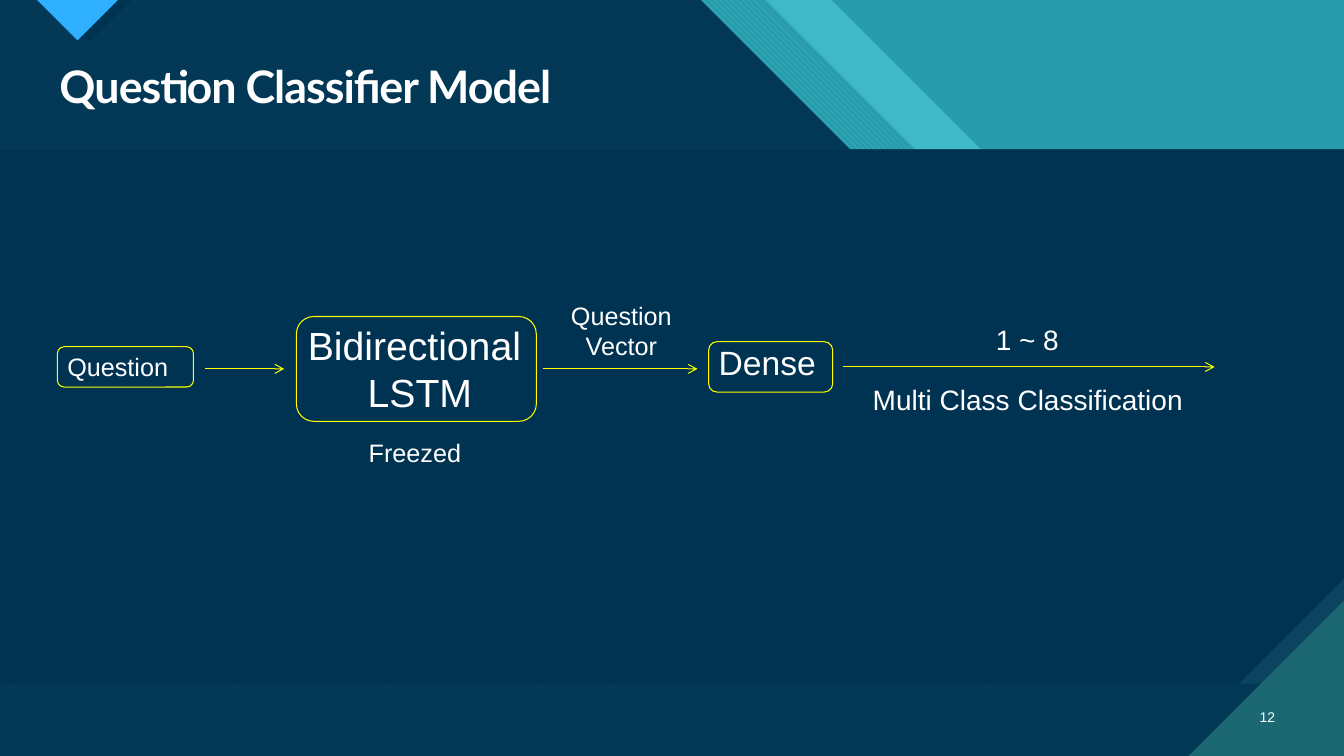
import pptx
import pptx.util
import pptx.dml.color
import pptx.enum.dml
import pptx.enum.shapes
import pptx.enum.text
import pptx.oxml.ns
import lxml.etree

Pt = pptx.util.Pt
qn = pptx.oxml.ns.qn
SHAPE = pptx.enum.shapes.MSO_SHAPE
ALIGN = pptx.enum.text.PP_ALIGN
ANCHOR = pptx.enum.text.MSO_ANCHOR
FIT = pptx.enum.text.MSO_AUTO_SIZE
PATTERN = pptx.enum.dml.MSO_PATTERN

WIDTH, HEIGHT = 960, 540
COLORS = {
    "teal": "299CAB",
    "aqua": "47C3D3",
    "deep": "1B6872",
    "navy": "003352",
    "steel": "0C4360",
    "sky": "2FAFFF",
    "outline": "FFFF00",
    "text": "FFFFFF",
}


def rgb(name):
    return pptx.dml.color.RGBColor.from_string(COLORS[name])


def apply_formats(target, formats):
    for attribute, value in formats.items():
        setattr(target, attribute, value)


class Deck:
    """Holds the text style and the slide being drawn."""

    def __init__(self, slide):
        self.slide = slide
        self.font = {"name": "Arial", "bold": False}
        self.line_width = Pt(0.75)

    def paint(self, shape, color, alpha=None, pattern=None, back=None):
        """Fill without outline or shadow; alpha is a percentage."""
        shape.shadow.inherit = False
        shape.line.fill.background()
        if pattern:
            shape.fill.patterned()
            shape.fill.pattern = pattern
            shape.fill.fore_color.rgb = rgb(color)
            shape.fill.back_color.rgb = rgb(back)
            return
        shape.fill.solid()
        shape.fill.fore_color.rgb = rgb(color)
        if alpha:
            fill_color = next(shape.element.iter(qn("a:srgbClr")))
            lxml.etree.SubElement(fill_color, qn("a:alpha")).set("val", str(alpha * 1000))

    def polygon(self, points, color, **fill):
        corners = [(Pt(x), Pt(y)) for x, y in points]
        builder = self.slide.shapes.build_freeform(*corners[0], scale=1.0)
        builder.add_line_segments(corners[1:], close=True)
        self.paint(builder.convert_to_shape(), color, **fill)

    def layer(self, edge, knee, color, **fill):
        """Full-slide layer whose right side steps down in two 45-degree slopes."""
        shelf = 213.8
        self.polygon([(0, 0), (edge, 0), (edge + shelf, shelf), (knee, shelf),
                      (WIDTH, shelf + WIDTH - knee), (WIDTH, HEIGHT), (0, HEIGHT)],
                     color, **fill)

    def panel(self, snip, color):
        """Content panel with its lower right corner cut off."""
        shape = self.slide.shapes.add_shape(
            SHAPE.SNIP_1_RECTANGLE, 0, Pt(106.8), Pt(WIDTH), Pt(381.6))
        shape.adjustments[0] = snip
        next(shape.element.iter(qn("a:xfrm"))).set("flipV", "1")
        self.paint(shape, color)

    def box(self, left, top, width, height):
        shape = self.slide.shapes.add_shape(
            SHAPE.ROUNDED_RECTANGLE, Pt(left), Pt(top), Pt(width), Pt(height))
        shape.shadow.inherit = False
        shape.fill.background()
        shape.line.color.rgb = rgb("outline")
        shape.line.width = self.line_width

    def arrow(self, start, end, y):
        connector = self.slide.shapes.add_connector(
            pptx.enum.shapes.MSO_CONNECTOR.STRAIGHT, Pt(start), Pt(y), Pt(end), Pt(y))
        connector.line.color.rgb = rgb("outline")
        connector.line.width = self.line_width
        outline = next(connector.element.iter(qn("a:ln")))
        lxml.etree.SubElement(outline, qn("a:tailEnd")).set("type", "arrow")
        lxml.etree.SubElement(outline.getparent(), qn("a:effectLst"))

    def set_text(self, frame, text, size, align, **font):
        frame.text = text
        for paragraph in frame.paragraphs:
            paragraph.alignment = align
            for run in paragraph.runs:
                apply_formats(run.font, {**self.font, "size": Pt(size), **font})
                run.font.color.rgb = rgb("text")

    def label(self, text, left, top, width, height, size, align=ALIGN.LEFT, **frame_format):
        frame = self.slide.shapes.add_textbox(
            Pt(left), Pt(top), Pt(width), Pt(height)).text_frame
        apply_formats(frame, {"word_wrap": False, "auto_size": FIT.SHAPE_TO_FIT_TEXT,
                              **frame_format})
        self.set_text(frame, text, size, align)

    def title(self, text):
        title = self.slide.shapes.title
        apply_formats(title, {"left": Pt(35.3), "top": Pt(42.5),
                              "width": Pt(882.7), "height": Pt(42.5)})
        apply_formats(title.text_frame, {"word_wrap": True, "auto_size": FIT.SHAPE_TO_FIT_TEXT,
                                         "vertical_anchor": ANCHOR.MIDDLE})
        self.set_text(title.text_frame, text, 32, ALIGN.LEFT, name="Lato", bold=True)
        title.text_frame.paragraphs[0].line_spacing = 0.9
        next(title.element.iter(qn("a:rPr"))).set("spc", "-70")
        # Bring the title in front of the backdrop.
        title.element.getparent().append(title.element)


def draw_backdrop(deck):
    background = deck.slide.background.fill
    background.solid()
    background.fore_color.rgb = rgb("teal")
    deck.layer(594, 888.5, "aqua", alpha=74)
    deck.layer(547.2, 852.5, "aqua", pattern=PATTERN.WIDE_DOWNWARD_DIAGONAL, back="teal")
    deck.layer(500.4, 805, "aqua", pattern=PATTERN.WIDE_UPWARD_DIAGONAL, back="deep")
    deck.layer(500.4, 805, "navy", alpha=90)
    for left, right, color in [(34.6, 94.3, "navy"), (26.6, 84.2, "sky")]:
        deck.polygon([(left, 0), (right, 0), ((left + right) / 2, (right - left) / 2)], color)
    for snip, color in [(0, "steel"), (0.197, "navy")]:
        deck.panel(snip, color)
    corner = 110.9
    deck.polygon([(WIDTH - corner, HEIGHT), (WIDTH, HEIGHT), (WIDTH, HEIGHT - corner)], "deep")


def draw_model(deck):
    for bounds in [(211.7, 226.1, 171.4, 74.9), (41, 247.7, 97.2, 28.8), (506.2, 244.1, 88.6, 36)]:
        deck.box(*bounds)
    for start, end, y in [(146.2, 203, 263.5), (388.1, 498.2, 263.5), (601.9, 867.6, 262.1)]:
        deck.arrow(start, end, y)
    deck.label("Question", 41, 247.7, 87.1, 28.8, 18)
    deck.label("Bidirectional \nLSTM", 211.7, 226.1, 176.4, 74.9, 28, ALIGN.CENTER)
    deck.label("Freezed", 256.3, 308.9, 81.4, 28.8, 18)
    deck.label("Question\nVector", 400.3, 211, 87.1, 51.1, 18, ALIGN.CENTER)
    deck.label("Dense", 506.2, 240.5, 85, 36, 24)
    deck.label("1 ~ 8", 704.2, 226.8, 61.9, 31.7, 20, word_wrap=True)
    deck.label("Multi Class Classification", 616.3, 270, 265, 31.7, 20, word_wrap=True)


def main():
    presentation = pptx.Presentation()
    apply_formats(presentation, {"slide_width": Pt(WIDTH), "slide_height": Pt(HEIGHT)})
    title_only = presentation.slide_layouts[5]
    deck = Deck(presentation.slides.add_slide(title_only))
    draw_backdrop(deck)
    deck.title("Question Classifier Model")
    draw_model(deck)
    deck.label("12", 886.3, 497.5, 31.7, 28.8, 10, ALIGN.RIGHT, word_wrap=True,
               auto_size=FIT.NONE, vertical_anchor=ANCHOR.MIDDLE)
    presentation.save("out.pptx")


if __name__ == "__main__":
    main()
